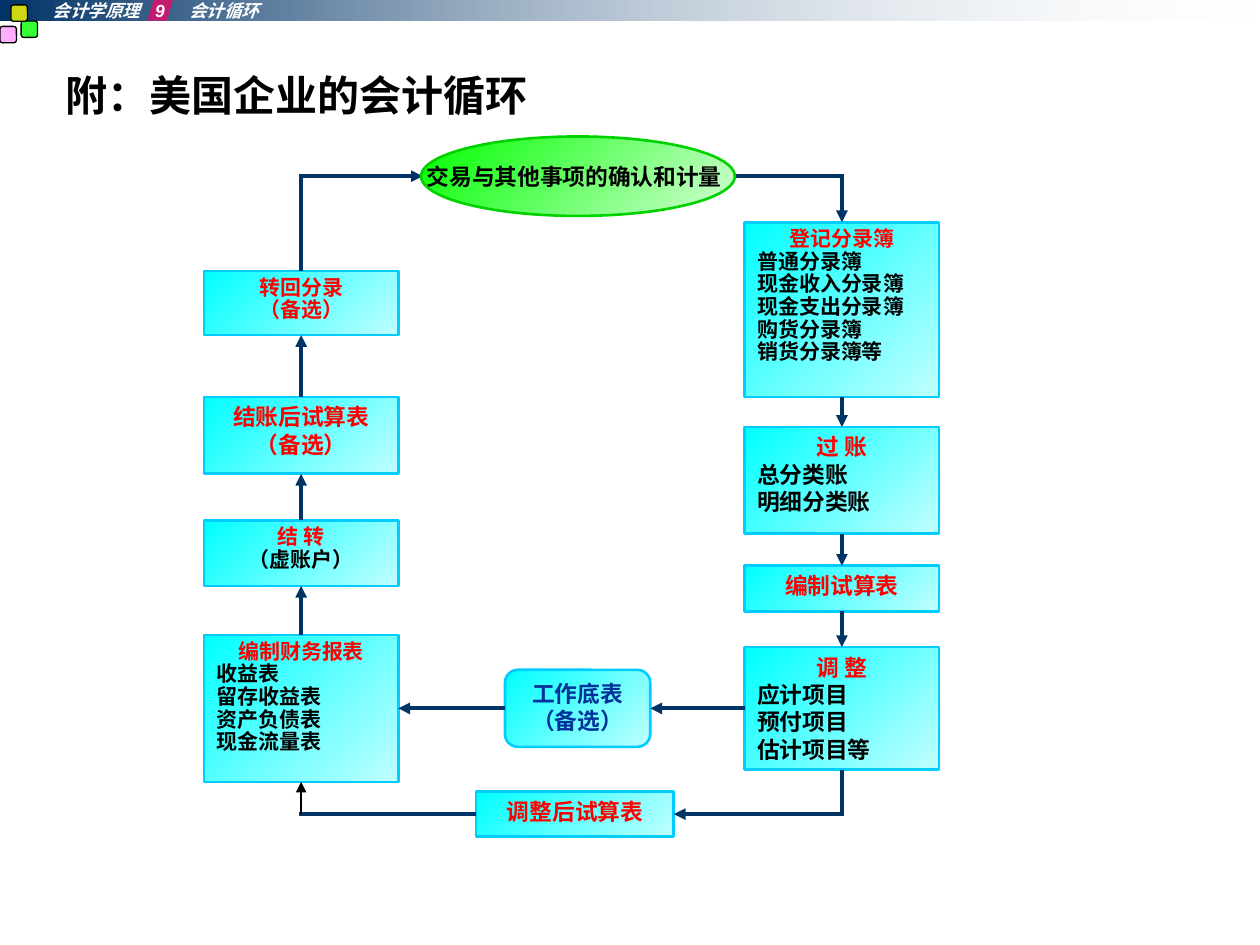
from dataclasses import dataclass

from lxml import etree
from pptx import Presentation
from pptx.dml.color import RGBColor
from pptx.enum.shapes import MSO_CONNECTOR, MSO_SHAPE
from pptx.enum.text import MSO_ANCHOR, MSO_AUTO_SIZE, PP_ALIGN
from pptx.oxml.ns import qn
from pptx.util import Pt

RECT, ROUND = MSO_SHAPE.RECTANGLE, MSO_SHAPE.ROUNDED_RECTANGLE
OVAL, SLANT = MSO_SHAPE.OVAL, MSO_SHAPE.PARALLELOGRAM
STRAIGHT = MSO_CONNECTOR.STRAIGHT
TOP, NO_FIT = MSO_ANCHOR.TOP, MSO_AUTO_SIZE.NONE
LEFT, CENTER, JUSTIFY = PP_ALIGN.LEFT, PP_ALIGN.CENTER, PP_ALIGN.JUSTIFY
SIDE_TOP, SIDE_LEFT, SIDE_BOTTOM, SIDE_RIGHT = range(4)


@dataclass(frozen=True)
class Theme:
    cjk: str = "Noto Sans CJK SC"
    serif: str = "Times New Roman"
    sans: str = "Arial"
    title: float = 24
    large: float = 13
    small: float = 12
    header: float = 10
    black: str = "000000"
    white: str = "FFFFFF"
    red: str = "FF0000"
    blue: str = "003399"
    navy: str = "003366"
    mist: str = "E7ECF1"
    pink: str = "FF99FF"
    green: str = "00FF00"
    yellow: str = "FFFF00"
    rose: str = "FF0066"
    box: tuple = ("00FFFF", "C1FFFF")
    box_line: str = "00CCFF"
    oval: tuple = ("00FF00", "D5FFD5")
    oval_line: str = "00D200"


T = Theme()


def rgb(value):
    return RGBColor.from_string(value)


def add_text(tf, text, first=False, size=T.large, font=T.serif, color=T.black,
             italic=False, align=LEFT, spacing=None, tabs=()):
    p = tf.paragraphs[0] if first else tf.add_paragraph()
    p.alignment = align
    if spacing:
        p.line_spacing = spacing
    if tabs:
        tab_list = etree.SubElement(p._p.get_or_add_pPr(), qn("a:tabLst"))
        for pos in tabs:
            etree.SubElement(tab_list, qn("a:tab"), pos=str(Pt(pos)), algn="l")
    r = p.add_run()
    r.text = text
    r.font.size, r.font.bold, r.font.italic = Pt(size), True, italic
    r.font.name = font
    r.font.color.rgb = rgb(color)
    etree.SubElement(r._r.get_or_add_rPr(), qn("a:ea"), typeface=T.cjk)


def set_frame(tf, margin_x, margin_y):
    tf.word_wrap, tf.auto_size = True, NO_FIT
    tf.vertical_anchor = TOP
    tf.margin_left = tf.margin_right = Pt(margin_x)
    tf.margin_top = tf.margin_bottom = Pt(margin_y)


def add_shape(slide, kind, x, y, w, h, fill, angle=45, alpha=None,
              line=None, line_width=1.5, adjust=None):
    sp = slide.shapes.add_shape(kind, Pt(x), Pt(y), Pt(w), Pt(h))
    sp.shadow.inherit = False
    if adjust is not None:
        sp.adjustments[0] = adjust
    if isinstance(fill, tuple):
        sp.fill.gradient()
        sp.fill.gradient_angle = -angle % 360
        for stop, color, pos in zip(sp.fill.gradient_stops, fill, (0, 1)):
            stop.color.rgb, stop.position = rgb(color), pos
    else:
        sp.fill.solid()
        sp.fill.fore_color.rgb = rgb(fill)
    if alpha is not None:
        last = list(sp._element.spPr.iter(qn("a:srgbClr")))[-1]
        etree.SubElement(last, qn("a:alpha"), val=str(alpha * 1000))
    if line:
        sp.line.color.rgb, sp.line.width = rgb(line), Pt(line_width)
    else:
        sp.line.fill.background()
    return sp


def add_textbox(slide, x, y, w, h, text, margin_y=0, **fmt):
    sp = slide.shapes.add_textbox(Pt(x), Pt(y), Pt(w), Pt(h))
    set_frame(sp.text_frame, 0, margin_y)
    add_text(sp.text_frame, text, first=True, **fmt)


def add_box(slide, x, y, w, h, head, body=(), kind=RECT, size=T.large,
            head_color=T.red, body_color=T.black, head_font=T.serif,
            body_align=JUSTIFY):
    sp = add_shape(slide, kind, x, y, w, h, T.box, line=T.box_line)
    tf = sp.text_frame
    set_frame(tf, 7.2, 3.6)
    spacing = 0.9 if size == T.small else None
    add_text(tf, head, first=True, size=size, color=head_color,
             font=head_font, align=CENTER, spacing=spacing)
    for text in body:
        add_text(tf, text, size=size, color=body_color,
                 align=body_align, spacing=spacing)
    return sp


def add_line(slide, start, end, head=True, color=T.navy, width=2.25):
    points = [(0, 0) if hasattr(e[0], "shape_id") else e for e in (start, end)]
    (x1, y1), (x2, y2) = points
    cn = slide.shapes.add_connector(STRAIGHT, Pt(x1), Pt(y1), Pt(x2), Pt(y2))
    for e, connect in ((start, cn.begin_connect), (end, cn.end_connect)):
        if hasattr(e[0], "shape_id"):
            connect(*e)
    cn.line.color.rgb, cn.line.width = rgb(color), Pt(width)
    if head:
        etree.SubElement(cn.line._get_or_add_ln(), qn("a:tailEnd"), type="triangle")
    etree.SubElement(cn._element.spPr, qn("a:effectLst"))


def build_title(slide, x, y, w, h):
    sp = slide.shapes.title
    sp.left, sp.top, sp.width, sp.height = Pt(x), Pt(y), Pt(w), Pt(h)
    set_frame(sp.text_frame, 7.2, 3.6)
    add_text(sp.text_frame, "附：美国企业的会计循环", first=True,
             size=T.title, font=T.cjk)


def build_header(slide, x, y, w, h):
    add_shape(slide, RECT, x, y, w, h, (T.navy, T.mist), angle=0, alpha=0)
    for dx, dy, color in ((0, 15.1, T.pink), (12.1, 12, T.green), (6.3, 2.8, T.yellow)):
        add_shape(slide, ROUND, x + dx, y + dy, 9.4, 9.4, color, alpha=80,
                  line=T.black, line_width=0.75, adjust=0.167)
    add_shape(slide, SLANT, x + 84.2, y - 1.2, 15, 13, T.rose, alpha=70, adjust=0.299)
    add_textbox(slide, x + 30.2, y, 210, h, "会计学原理\t9\t会计循环", size=T.header,
                font=T.sans, color=T.white, italic=True, tabs=(58.5, 78))


def build_cycle(slide, x, y, w, h):
    col = 111
    right, mid_l, mid_r = x + w - col, x + col / 2, x + w - col / 2
    oval_x, oval_w, oval_h = x + 124, 179.3, 45.4
    top, bottom = y + oval_h / 2, y + h - 13

    journal = add_box(slide, right, y + 49, col, 100, "登记分录簿",
                      ("普通分录簿", "现金收入分录簿", "现金支出分录簿",
                       "购货分录簿", "销货分录簿等"), size=T.small)
    posting = add_box(slide, right, y + 166, col, 61, "过 账",
                      ("总分类账", "明细分类账"), head_font=T.cjk)
    trial = add_box(slide, right, y + 245.3, col, 26, "编制试算表")
    adjusting = add_box(slide, right, y + 291.8, col, 70, "调 整",
                        ("应计项目", "预付项目", "估计项目等"), head_font=T.cjk)
    reports = add_box(slide, x, y + 284.8, col, 84, "编制财务报表",
                      ("收益表", "留存收益表", "资产负债表", "现金流量表"),
                      size=T.small)
    worksheet = add_box(slide, x + 172, y + 304.8, 83, 44, "工作底表", ("（备选）",),
                        kind=ROUND, head_color=T.blue, body_color=T.blue,
                        body_align=CENTER)
    adjusted = add_box(slide, x + 155.5, bottom - 13, 113, 26, "调整后试算表")
    closing = add_box(slide, x, y + 219.4, col, 37.4, "结 转", ("（虚账户）",),
                      size=T.small, head_font=T.cjk, body_align=CENTER)
    post_closing = add_box(slide, x, y + 148.8, col, 44, "结账后试算表", ("（备选）",),
                           body_color=T.red, body_align=CENTER)
    reversing = add_box(slide, x, y + 76.8, col, 36.7, "转回分录", ("（备选）",),
                        size=T.small, body_color=T.red, body_align=CENTER)

    add_line(slide, (oval_x + oval_w, top), (mid_r + 1, top), head=False)
    add_line(slide, (mid_r, top), (journal, SIDE_TOP))
    for upper, lower in ((journal, posting), (posting, trial), (trial, adjusting)):
        add_line(slide, (upper, SIDE_BOTTOM), (lower, SIDE_TOP))
    add_line(slide, (adjusting, SIDE_BOTTOM), (mid_r, bottom + 1), head=False)
    add_line(slide, (mid_r, bottom), (adjusted, SIDE_RIGHT))
    add_line(slide, (adjusted, SIDE_LEFT), (mid_l - 1, bottom), head=False)
    add_line(slide, (mid_l, bottom), (reports, SIDE_BOTTOM), color=T.black, width=1.5)
    for source, target in ((adjusting, worksheet), (worksheet, reports)):
        add_line(slide, (source, SIDE_LEFT), (target, SIDE_RIGHT))
    for lower, upper in ((reports, closing), (closing, post_closing),
                         (post_closing, reversing)):
        add_line(slide, (lower, SIDE_TOP), (upper, SIDE_BOTTOM))
    add_line(slide, (reversing, SIDE_TOP), (mid_l, top), head=False)
    add_line(slide, (mid_l - 1, top), (oval_x + 1, top))

    add_shape(slide, OVAL, oval_x, y, oval_w, oval_h, T.oval, line=T.oval_line)
    add_textbox(slide, oval_x, y + 11.3, 175, 26, "交易与其他事项的确认和计量",
                margin_y=3.6, align=CENTER)


def main():
    prs = Presentation()
    prs.slide_width, prs.slide_height = Pt(720), Pt(540)
    slide = prs.slides.add_slide(prs.slide_layouts[5])
    build_title(slide, 30.2, 36, 660, 44)
    build_header(slide, 0, 0, 720, 12)
    build_cycle(slide, 116.6, 78, 420, 400.2)
    prs.save("out.pptx")


if __name__ == "__main__":
    main()
